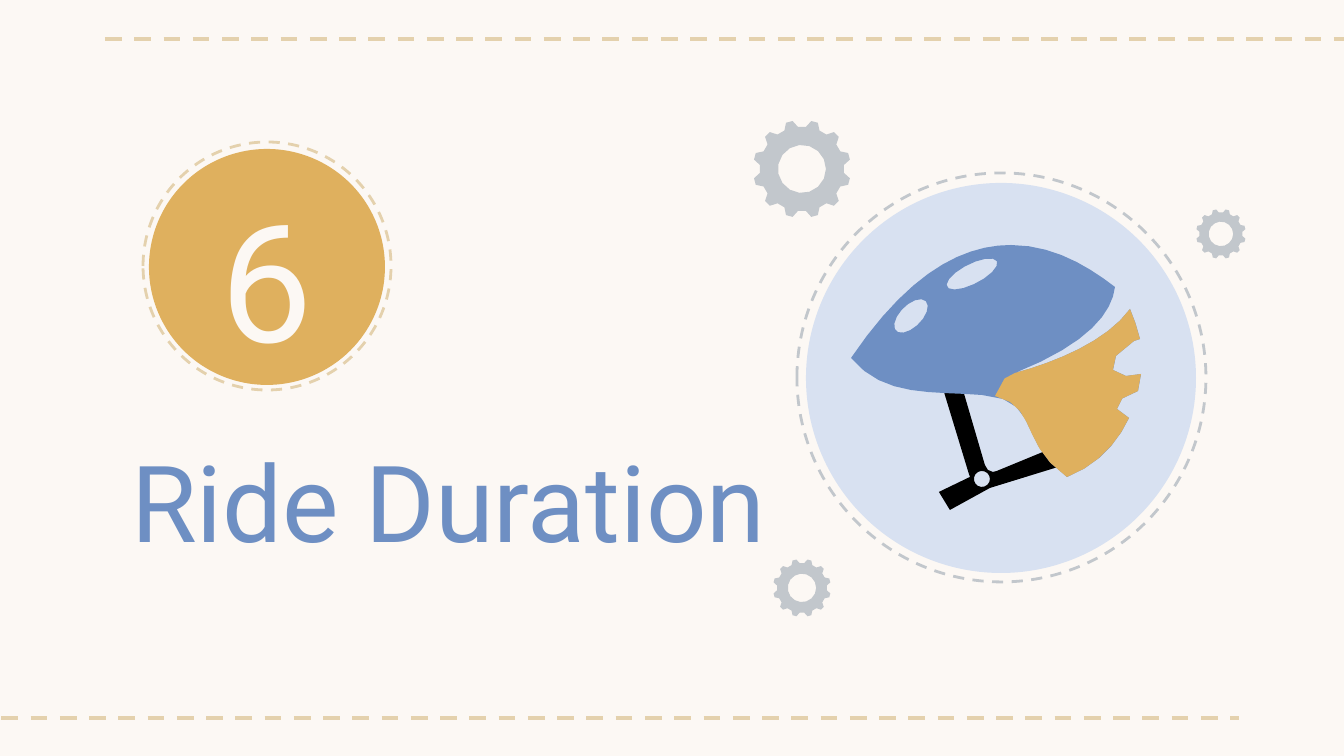
import math

import lxml.etree
import pptx
import pptx.dml.color
import pptx.enum.dml
import pptx.enum.shapes
import pptx.enum.text
import pptx.oxml.ns
import pptx.util

RGB = pptx.dml.color.RGBColor
CREAM = RGB(0xFC, 0xF8, 0xF4)
SAND = RGB(0xE4, 0xD1, 0xAD)
GOLD = RGB(0xDF, 0xB0, 0x5E)
GREY = RGB(0xC2, 0xC7, 0xCC)
PALE_BLUE = RGB(0xD8, 0xE1, 0xF1)
BLUE = RGB(0x6E, 0x8F, 0xC3)
BLACK = RGB(0, 0, 0)

WIDTH, HEIGHT = 1344, 756
SCALE = 9144000 / WIDTH


def emu(px):
    return pptx.util.Emu(round(px * SCALE))


# Outlines: lists of (x, y) points in px
def outline(start, segments):
    """Follow lines (x, y) and cubic curves (x1, y1, x2, y2, x, y)."""
    points = [start]
    for segment in segments:
        if len(segment) == 2:
            points.append(segment)
            continue
        knots = [points[-1], segment[:2], segment[2:4], segment[4:]]
        steps = math.ceil(math.dist(knots[0], knots[3]) / 18)
        for step in range(1, steps + 1):
            t = step / steps
            weights = [math.comb(3, i) * t**i * (1 - t)**(3 - i) for i in range(4)]
            points.append(tuple(sum(w * k[axis] for w, k in zip(weights, knots))
                                for axis in (0, 1)))
    return points


def oval(x, y, rx, ry, tilt=0):
    c, s = math.cos(math.radians(tilt)), math.sin(math.radians(tilt))
    turns = [math.radians(a) for a in range(0, 360, 24)]
    return [(x + rx * math.cos(a) * c - ry * math.sin(a) * s,
             y + rx * math.cos(a) * s + ry * math.sin(a) * c) for a in turns]


def gear(x, y, radius):
    """A disc with twelve round notches in its rim and a hole."""
    rim = []
    for notch in range(0, 360, 30):
        for turn in (252, 204, 156, 108):
            a, b = math.radians(notch), math.radians(notch + turn)
            rim.append((x + radius * (1.04 * math.cos(a) + 0.2 * math.cos(b)),
                        y + radius * (1.04 * math.sin(a) + 0.2 * math.sin(b))))
    return [rim, oval(x, y, 0.49 * radius, 0.49 * radius)]


class Slide:
    font = "Roboto"

    def __init__(self, deck):
        self.slide = deck.slides.add_slide(deck.slide_layouts[6])
        self.shapes = self.slide.shapes
        background = self.slide.background.fill
        background.solid()
        background.fore_color.rgb = CREAM

    def dash(self, line, color, width):
        line.color.rgb = color
        line.width = pptx.util.Pt(width)
        line.dash_style = pptx.enum.dml.MSO_LINE.DASH

    def paint(self, shape, color):
        shape.shadow.inherit = False
        shape.fill.solid()
        shape.fill.fore_color.rgb = color
        shape.line.fill.background()

    def rule(self, x1, x2, y):
        rule = self.shapes.add_connector(
            pptx.enum.shapes.MSO_CONNECTOR.STRAIGHT, emu(x1), emu(y), emu(x2), emu(y))
        self.dash(rule.line, SAND, 2.25)
        lxml.etree.SubElement(rule._element.spPr, pptx.oxml.ns.qn("a:effectLst"))

    def circle(self, x, y, diameter, color, dashed=False):
        circle = self.shapes.add_shape(
            pptx.enum.shapes.MSO_SHAPE.OVAL, emu(x), emu(y), emu(diameter), emu(diameter))
        self.paint(circle, color)
        if dashed:
            circle.fill.background()
            self.dash(circle.line, color, 1.5)

    def figure(self, contours, color):
        scaled = [[(emu(x), emu(y)) for x, y in contour] for contour in contours]
        builder = self.shapes.build_freeform(*scaled[0][0], scale=1.0)
        for index, contour in enumerate(scaled):
            if index:
                builder.move_to(*contour[0])
            builder.add_line_segments(contour[1:], close=True)
        self.paint(builder.convert_to_shape(), color)

    def text(self, text, *, box, size, color,
             align=pptx.enum.text.PP_ALIGN.LEFT, anchor=pptx.enum.text.MSO_ANCHOR.TOP):
        frame = self.shapes.add_textbox(*map(emu, box)).text_frame
        frame.word_wrap = True
        frame.vertical_anchor = anchor
        frame.margin_left = frame.margin_right = pptx.util.Inches(0.1)
        frame.margin_top = frame.margin_bottom = pptx.util.Inches(0.1)
        paragraph = frame.paragraphs[0]
        paragraph.alignment = align
        run = paragraph.add_run()
        run.text = text
        run.font.name = self.font
        run.font.size = pptx.util.Pt(size)
        run.font.color.rgb = color


# Helmet parts; the rear guard edge is shared by shell and guard
REAR_EDGE = [
    (1134, 317, 1137, 328, 1140, 339), (1134, 341),
    (1118, 349, 1109, 363, 1113, 370), (1114, 374, 1119, 376, 1126, 376),
    (1130, 376, 1136, 375, 1141, 374), (1138, 391),
    (1125, 394, 1116, 402, 1117, 409), (1117, 414, 1122, 417, 1129, 418),
    (1118, 442, 1098, 465, 1067, 477),
]
GUARD_TOP = (1056, 362, 1107, 341, 1130, 309)
STRAP = [
    outline((934, 359), [
        (954, 359), (985, 465), (988, 470), (993, 472), (997, 471),
        (1077, 438), (1081, 460), (990, 488), (950, 510), (939, 492),
        (970, 477), (969, 474)]),
    oval(982, 479, 8, 8),
]
SHELL = [
    outline((1011, 245), [
        (1054, 245, 1089, 267, 1115, 287), (1112, 312, 1090, 343, 1015, 373),
        GUARD_TOP, *REAR_EDGE,
        (1016, 442, 1042, 399, 982, 395), (934, 391, 884, 398, 851, 358),
        (910, 271, 964, 245, 1011, 245)]),
    oval(972, 274, 28, 10, -27),
    oval(911, 316, 21, 11, -45),
]
GUARD = [outline((1130, 309), [
    *REAR_EDGE, (1020, 445, 1038, 406, 995, 396),
    (1001, 378, 1008, 375, 1015, 373), GUARD_TOP])]


def main():
    deck = pptx.Presentation()
    deck.slide_width, deck.slide_height = emu(WIDTH), emu(HEIGHT)
    slide = Slide(deck)

    # Dashed rules at top and bottom
    slide.rule(105, 1372, 39)
    slide.rule(-28, 1239, 718)

    # Number badge and helmet disc
    slide.circle(143, 142, 248, SAND, dashed=True)
    slide.circle(149, 149, 236, GOLD)
    slide.circle(797, 173, 409, GREY, dashed=True)
    slide.circle(806, 183, 390, PALE_BLUE)

    # Section title and number
    slide.text("Ride Duration", box=(118, 423, 689, 124), size=57, color=BLUE)
    slide.text("6", box=(134, 156, 265, 242), size=88, color=CREAM,
               align=pptx.enum.text.PP_ALIGN.CENTER,
               anchor=pptx.enum.text.MSO_ANCHOR.MIDDLE)

    # Helmet
    for contours, color in ((STRAP, BLACK), (SHELL, BLUE), (GUARD, GOLD)):
        slide.figure(contours, color)

    # Gears
    for x, y, radius in ((802, 169, 49), (1221, 234, 25), (802, 588, 29)):
        slide.figure(gear(x, y, radius), GREY)

    deck.save("out.pptx")


if __name__ == "__main__":
    main()
